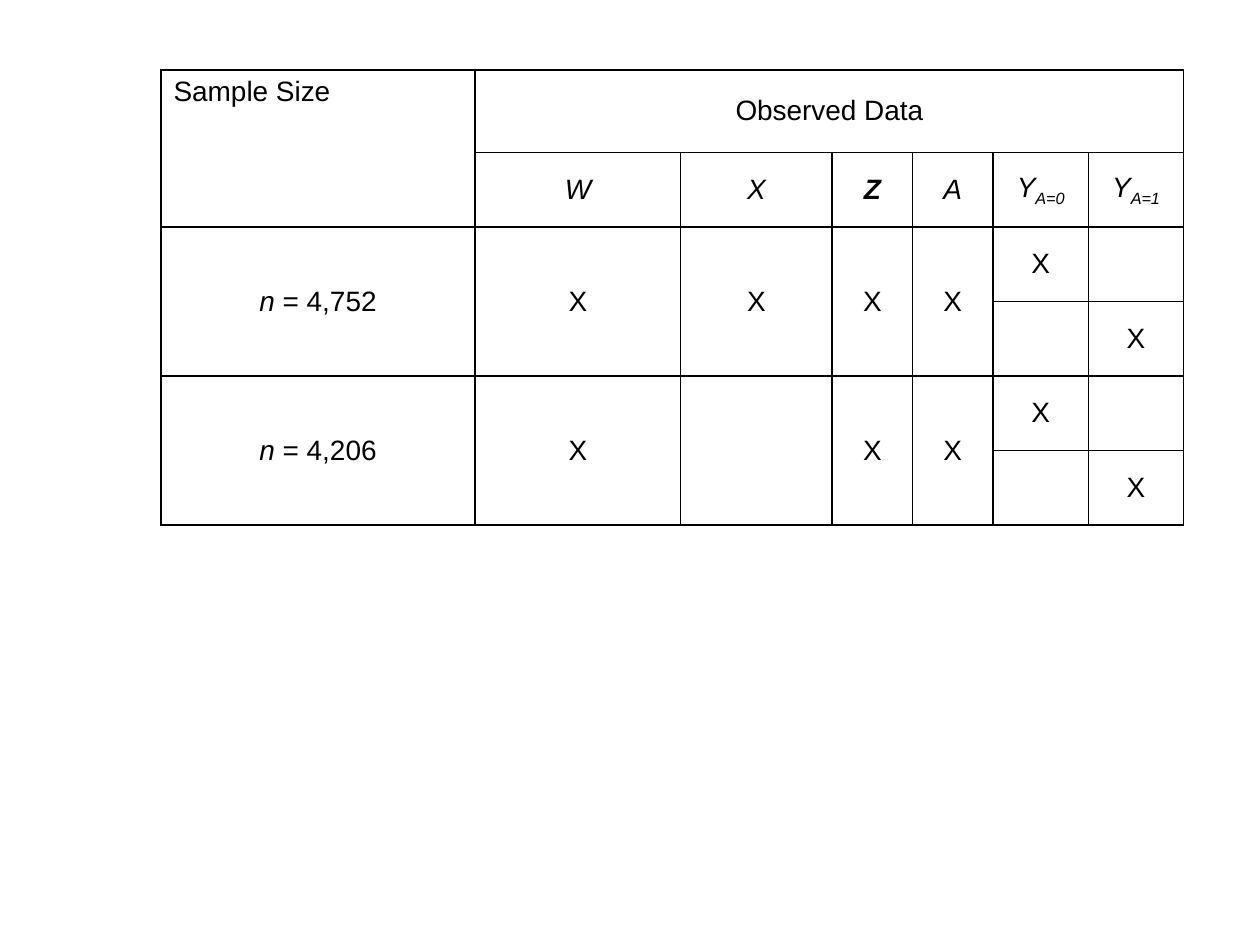
from lxml import etree
from pptx import Presentation
from pptx.dml.color import RGBColor
from pptx.enum.text import MSO_ANCHOR, PP_ALIGN
from pptx.oxml.ns import qn
from pptx.util import Pt

CENTER, MIDDLE = PP_ALIGN.CENTER, MSO_ANCHOR.MIDDLE
COLORS = {"ink": "000000"}
FONT, SIZE, BORDER = "Arial", Pt(16), Pt(1)

LEFT, TOP = 92, 40
COL_WIDTHS = [179.5, 117.5, 86.5, 46, 46, 54.5, 54.5]
ROW_HEIGHTS = [47.2] + [42.55] * 5

VARIABLES = [
    [("W", "i")],
    [("X", "i")],
    [("Z", "bi")],
    [("A", "i")],
    [("Y", "i"), ("A=0", "is")],
    [("Y", "i"), ("A=1", "is")],
]
SAMPLES = [
    ([("n", "i"), (" = 4,752", "")], ["X", "X", "X", "X"]),
    ([("n", "i"), (" = 4,206", "")], ["X", "", "X", "X"]),
]


def write(cell, runs, centered=True):
    p = cell.text_frame.paragraphs[0]
    if centered:
        p.alignment = CENTER
        cell.vertical_anchor = MIDDLE
    for text, style in runs:
        r = p.add_run()
        r.text = text
        r.font.name, r.font.size = FONT, SIZE
        r.font.bold, r.font.italic = "b" in style, "i" in style
        r.font.color.rgb = RGBColor.from_string(COLORS["ink"])
        if "s" in style:
            r._r.get_or_add_rPr().set("baseline", "-25000")


def outline(cell):
    cell.fill.background()
    tcPr = cell._tc.get_or_add_tcPr()
    for i, side in enumerate(("a:lnL", "a:lnR", "a:lnT", "a:lnB")):
        ln = etree.Element(qn(side), w=str(BORDER))
        fill = etree.SubElement(ln, qn("a:solidFill"))
        etree.SubElement(fill, qn("a:srgbClr"), val=COLORS["ink"])
        tcPr.insert(i, ln)


prs = Presentation()
prs.slide_width, prs.slide_height = Pt(720), Pt(540)
s = prs.slides.add_slide(prs.slide_layouts[6])
table = s.shapes.add_table(
    len(ROW_HEIGHTS), len(COL_WIDTHS), Pt(LEFT), Pt(TOP),
    Pt(sum(COL_WIDTHS)), Pt(sum(ROW_HEIGHTS))).table
table.first_row = table.horz_banding = False
for column, width in zip(table.columns, COL_WIDTHS):
    column.width = Pt(width)
for row, height in zip(table.rows, ROW_HEIGHTS):
    row.height = Pt(height)
for cell in table.iter_cells():
    outline(cell)

table.cell(0, 0).merge(table.cell(1, 0))
table.cell(0, 1).merge(table.cell(0, 6))
write(table.cell(0, 0), [("Sample Size", "")], centered=False)
write(table.cell(0, 1), [("Observed Data", "")])
for col, runs in enumerate(VARIABLES, 1):
    write(table.cell(1, col), runs)

for i, (size, marks) in enumerate(SAMPLES):
    top = 2 + 2 * i
    for col, runs in enumerate([size] + [[(m, "")] if m else [] for m in marks]):
        table.cell(top, col).merge(table.cell(top + 1, col))
        write(table.cell(top, col), runs)
    for arm in range(2):
        write(table.cell(top + arm, 5 + arm), [("X", "")])

prs.save("out.pptx")
